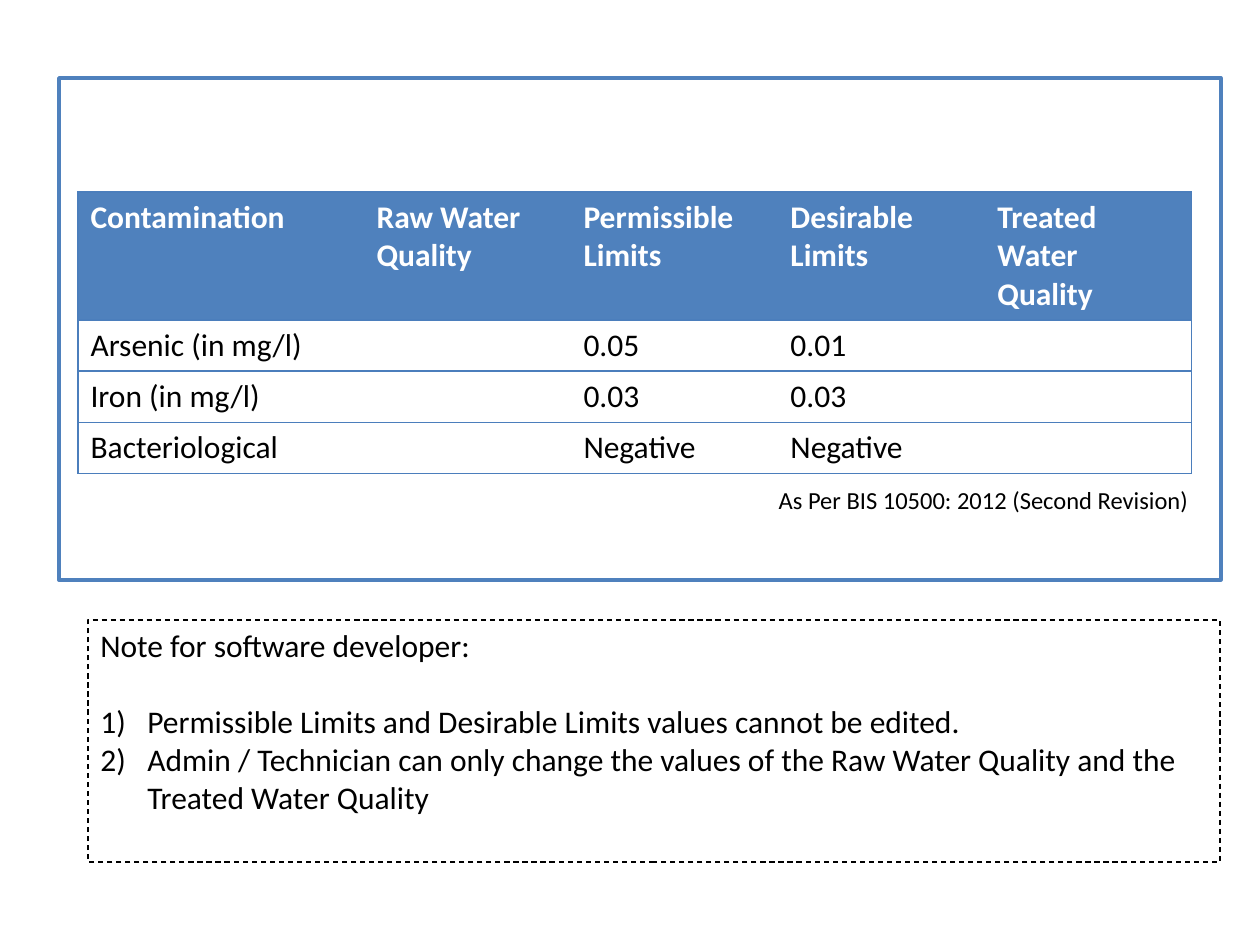
from lxml.etree import SubElement
from pptx import Presentation
from pptx.dml.color import RGBColor
from pptx.enum.dml import MSO_LINE_DASH_STYLE as Dash
from pptx.enum.shapes import MSO_SHAPE as Shape
from pptx.enum.text import MSO_ANCHOR as Anchor, PP_ALIGN as Align
from pptx.oxml.ns import qn
from pptx.util import Pt

BLUE, EDGE, BLACK, WHITE = "4F81BD", "4B7EBC", "000000", "FFFFFF"
ROWS = [
    ["Contamination", "Raw Water Quality", "Permissible Limits",
     "Desirable Limits", "Treated Water Quality"],
    ["Arsenic (in mg/l)", "", "0.05", "0.01", ""],
    ["Iron (in mg/l)", "", "0.03", "0.03", ""],
    ["Bacteriological", "", "Negative", "Negative", ""],
]
WIDTHS = [286] + [207] * 4
HEIGHTS = [128] + [51] * 3
RULES = [
    "Permissible Limits and Desirable Limits values cannot be edited.",
    "Admin / Technician can only change the values of the Raw Water Quality "
    "and the Treated Water Quality",
]


def px(n):
    return round(n * 914400 / 126)


def rgb(code):
    return RGBColor.from_string(code)


def style(item, **values):
    for name, value in values.items():
        setattr(item, name, value)


def write(para, text, size=18, color=BLACK, bold=False):
    run = para.add_run()
    run.text = text
    style(run.font, name="Calibri", size=Pt(size), bold=bold)
    run.font.color.rgb = rgb(color)


def add_rect(slide, box, color, width):
    rect = slide.shapes.add_shape(Shape.RECTANGLE, *map(px, box))
    rect.shadow.inherit = False
    rect.fill.background()
    rect.line.color.rgb = rgb(color)
    rect.line.width = Pt(width)
    return rect


def set_edges(cell, shown):
    """Draw the cell sides in shown (L, R, T, B) and clear the others."""
    props = cell._tc.get_or_add_tcPr()
    for spot, side in enumerate("LRTB"):
        line = SubElement(props, qn(f"a:ln{side}"), w=str(Pt(0.75)))
        props.insert(spot, line)
        if side in shown:
            fill = SubElement(line, qn("a:solidFill"))
            SubElement(fill, qn("a:srgbClr"), val=EDGE)
        else:
            SubElement(line, qn("a:noFill"))


def add_limits(slide):
    box = (78, 192, sum(WIDTHS), sum(HEIGHTS))
    table = slide.shapes.add_table(
        len(ROWS), len(WIDTHS), *map(px, box)).table
    table.horz_banding = False
    for col, width in zip(table.columns, WIDTHS):
        col.width = px(width)
    for r, (row, height) in enumerate(zip(ROWS, HEIGHTS)):
        table.rows[r].height = px(height)
        head = r == 0
        for c, text in enumerate(row):
            cell = table.cell(r, c)
            if head:
                cell.fill.solid()
                cell.fill.fore_color.rgb = rgb(BLUE)
            else:
                cell.fill.background()
            if text:
                write(cell.text_frame.paragraphs[0], text,
                      color=WHITE if head else BLACK, bold=head)
            ends = {0: "L", len(row) - 1: "R"}
            set_edges(cell, "TB" + ends.get(c, ""))


def add_source(slide):
    box = slide.shapes.add_textbox(*map(px, (344, 479, 857, 43)))
    box.text_frame.word_wrap = True
    para = box.text_frame.paragraphs[0]
    para.alignment = Align.RIGHT
    write(para, "As Per BIS 10500: 2012 (Second Revision)", 14)


def add_note(slide):
    rect = add_rect(slide, (88, 620, 1132, 242), BLACK, 0.75)
    rect.line.dash_style = Dash.DASH
    frame = rect.text_frame
    style(frame, word_wrap=True, vertical_anchor=Anchor.TOP)
    para = frame.paragraphs[0]
    style(para, alignment=Align.LEFT, space_after=Pt(22))
    write(para, "Note for software developer:")
    for text in RULES:
        para = frame.add_paragraph()
        para.alignment = Align.LEFT
        props = para._p.get_or_add_pPr()
        props.set("marL", str(px(47)))
        props.set("indent", str(px(-47)))
        SubElement(props, qn("a:buFont"), typeface="+mj-lt")
        SubElement(props, qn("a:buAutoNum"), type="arabicParenR")
        write(para, text)


def main():
    deck = Presentation()
    style(deck, slide_width=px(1260), slide_height=px(945))
    slide = deck.slides.add_slide(deck.slide_layouts[6])
    add_limits(slide)
    add_source(slide)
    add_note(slide)
    add_rect(slide, (59, 78, 1162, 502), BLUE, 2)
    deck.save("out.pptx")


if __name__ == "__main__":
    main()
